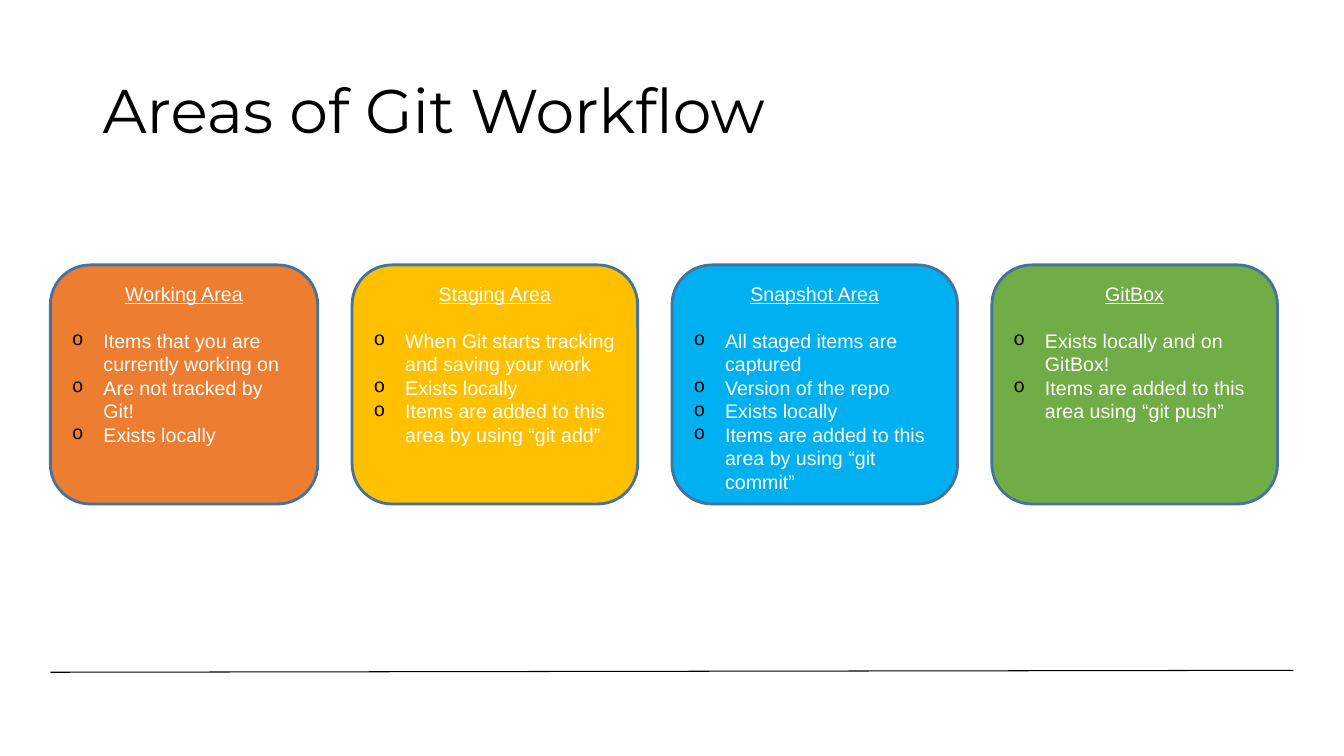
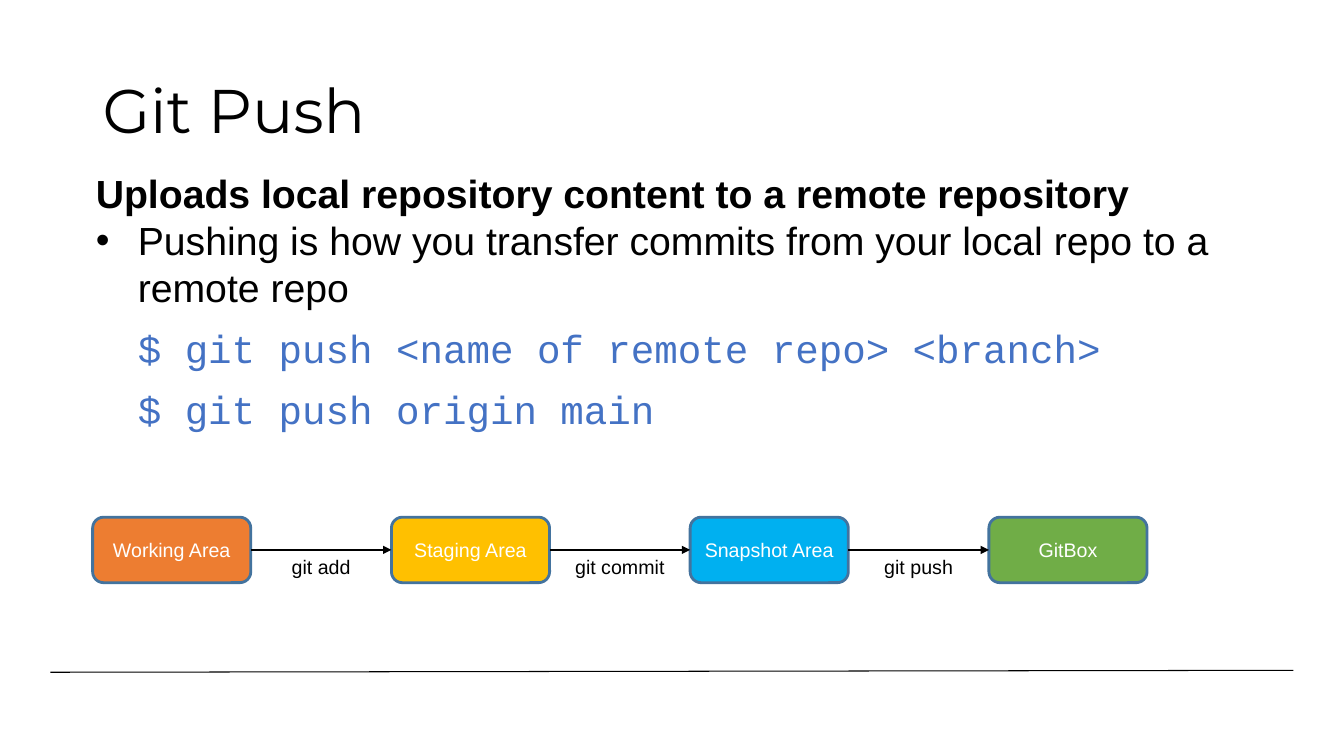
"""Build two slides on the areas of the Git workflow and on git push."""
from dataclasses import dataclass

from lxml import etree
from pptx import Presentation
from pptx.dml.color import RGBColor
from pptx.enum.shapes import MSO_CONNECTOR, MSO_SHAPE
from pptx.enum.text import MSO_ANCHOR, PP_ALIGN
from pptx.oxml.ns import qn
from pptx.util import Pt

ROUNDED = MSO_SHAPE.ROUNDED_RECTANGLE
STRAIGHT = MSO_CONNECTOR.STRAIGHT
TOP, MIDDLE = MSO_ANCHOR.TOP, MSO_ANCHOR.MIDDLE
LEFT, CENTER = PP_ALIGN.LEFT, PP_ALIGN.CENTER

BLACK, WHITE, OUTLINE, CODE_BLUE = "000000", "FFFFFF", "43739E", "4472C4"
SANS, MONO, HEADING = "Arial", "Courier New", "Montserrat"
SMALL = {"name": SANS, "size": Pt(14)}
LARGE = {"name": SANS, "size": Pt(28)}
CODE = {"name": MONO, "size": Pt(28)}
CENTERED = {"alignment": CENTER}


@dataclass(frozen=True)
class Area:
    name: str
    color: str
    card_width: float
    points: tuple[str, ...]


@dataclass(frozen=True)
class Bullet:
    mark: str
    font: str


@dataclass(frozen=True)
class Line:
    text: str
    font: dict
    color: str
    layout: dict
    margin: float = 0
    indent: float = 0
    bullet: Bullet | None = None


AREAS = (
    Area("Working Area", "ED7D31", 191, (
        "Items that you are currently working on",
        "Are not tracked by Git!",
        "Exists locally")),
    Area("Staging Area", "FFC000", 204, (
        "When Git starts tracking and saving your work",
        "Exists locally",
        "Items are added to this area by using “git add”")),
    Area("Snapshot Area", "00B0F0", 204, (
        "All staged items are captured",
        "Version of the repo",
        "Exists locally",
        "Items are added to this area by using “git commit”")),
    Area("GitBox", "70AD47", 204, (
        "Exists locally and on GitBox!",
        "Items are added to this area using “git push”")),
)
COMMANDS = ("git add", "git commit", "git push")


def rgb(value: str) -> RGBColor:
    return RGBColor.from_string(value)


def apply(target, values: dict) -> None:
    for name, value in values.items():
        setattr(target, name, value)


def write(box, lines: list[Line], anchor=TOP, wrap: bool = True) -> None:
    frame = box.text_frame
    apply(frame, {"word_wrap": wrap, "vertical_anchor": anchor})
    for index, line in enumerate(lines):
        para = frame.add_paragraph() if index else frame.paragraphs[0]
        properties = para._p.get_or_add_pPr()
        properties.set("marL", str(Pt(line.margin)))
        properties.set("indent", str(Pt(line.indent)))
        if line.bullet:
            color = etree.SubElement(properties, qn("a:buClr"))
            etree.SubElement(color, qn("a:srgbClr"), val=BLACK)
            etree.SubElement(properties, qn("a:buFont"), typeface=line.bullet.font)
            etree.SubElement(properties, qn("a:buChar"), char=line.bullet.mark)
        apply(para, {"alignment": LEFT, **line.layout})
        span = para.add_run()
        span.text = line.text
        apply(span.font, line.font)
        span.font.color.rgb = rgb(line.color)


def add_text(page, left: float, top: float, width: float, height: float,
             lines: list[Line], anchor=TOP, wrap: bool = True) -> None:
    box = page.shapes.add_textbox(Pt(left), Pt(top), Pt(width), Pt(height))
    write(box, lines, anchor, wrap)


def add_area_box(page, area: Area, left: float, top: float, width: float,
                 height: float, lines: list[Line], anchor) -> None:
    box = page.shapes.add_shape(ROUNDED, Pt(left), Pt(top), Pt(width), Pt(height))
    box.shadow.inherit = False
    box.fill.solid()
    box.fill.fore_color.rgb = rgb(area.color)
    box.line.color.rgb = rgb(OUTLINE)
    box.line.width = Pt(2)
    write(box, lines, anchor)


def add_line(page, start: tuple[float, float], end: tuple[float, float],
             width: float, arrow: bool = False) -> None:
    line = page.shapes.add_connector(
        STRAIGHT, *(Pt(value) for value in (*start, *end)))
    line.line.color.rgb = rgb(BLACK)
    line.line.width = Pt(width)
    if arrow:
        etree.SubElement(line.line._ln, qn("a:tailEnd"), type="triangle")
    etree.SubElement(line._element.spPr, qn("a:effectLst"))


def add_page(deck, title: str):
    page = deck.slides.add_slide(deck.slide_layouts[6])
    add_line(page, (36, 480.2), (923.8, 478.8), 0.75)
    font = {"name": HEADING, "size": Pt(44)}
    add_text(page, 66.2, 28.8, 828, 104.4,
             [Line(title, font, BLACK, {"line_spacing": 0.9})], MIDDLE)
    return page


def build_areas(deck) -> None:
    page = add_page(deck, "Areas of Git Workflow")
    left, gap = 36, 24.5
    bullet = Bullet("o", MONO)
    for area in AREAS:
        lines = [Line(area.name, {**SMALL, "underline": True}, WHITE, CENTERED)]
        for index, point in enumerate(area.points):
            layout = {} if index else {"space_before": Pt(16.8)}
            lines.append(Line(point, SMALL, WHITE, layout, 22.5, -22.5, bullet))
        add_area_box(page, area, left, 189.2, area.card_width, 170.8, lines, TOP)
        left += area.card_width + gap


def build_push(deck) -> None:
    page = add_page(deck, "Git Push")
    spaced = {"space_before": Pt(10)}
    add_text(page, 55.4, 117.4, 828, 228.2, [
        Line("Uploads local repository content to a remote repository",
             {**LARGE, "bold": True}, BLACK, {}, 6),
        Line("Pushing is how you transfer commits from your local repo to a remote repo",
             LARGE, BLACK, {}, 36, -30, Bullet("•", SANS)),
        Line("$ git push <name of remote repo> <branch>",
             CODE, CODE_BLUE, spaced, 0, 36),
        Line("$ git push origin main", CODE, CODE_BLUE, spaced, 0, 36),
    ])
    first, pitch, width, top, height = 66.2, 213.4, 113, 369.4, 46.8
    middle = top + height / 2
    for index, area in enumerate(AREAS):
        add_area_box(page, area, first + index * pitch, top, width, height,
                     [Line(area.name, SMALL, WHITE, CENTERED)], MIDDLE)
    for index, command in enumerate(COMMANDS):
        start = first + index * pitch + width
        end = first + (index + 1) * pitch
        add_line(page, (start, middle), (end, middle), 1, arrow=True)
        add_text(page, start, middle, end - start, 24.5,
                 [Line(command, SMALL, BLACK, CENTERED)])


def main() -> None:
    deck = Presentation()
    apply(deck, {"slide_width": Pt(960), "slide_height": Pt(540)})
    build_areas(deck)
    build_push(deck)
    deck.save("out.pptx")


if __name__ == "__main__":
    main()
